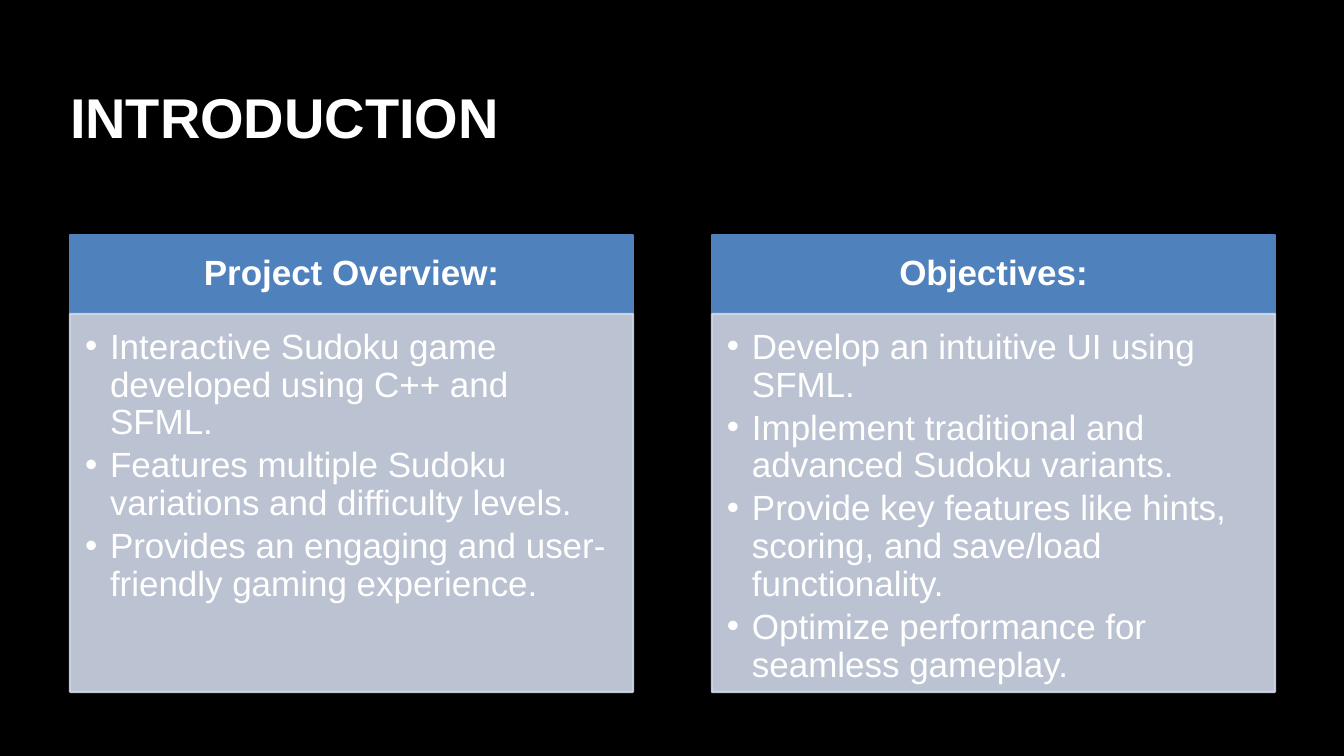
from lxml.etree import SubElement as Sub
from pptx import Presentation
from pptx.dml.color import RGBColor as Rgb
from pptx.enum.shapes import MSO_SHAPE as Kind
from pptx.enum.text import MSO_ANCHOR as Anchor, PP_ALIGN as Align
from pptx.oxml.ns import qn
from pptx.util import Emu, Pt

INK = {"back": "000000", "text": "FFFFFF", "head": "4F81BD", "body": "D0D8E8"}
WIDE, HIGH = 1344, 756
LEFT, TOP, STEP = 70, 235, 642
CARD, HEAD, BODY = 563, 79, 378
DENT = 25

CARDS = [
    ("Project Overview:", [
        "Interactive Sudoku game developed using C++ and SFML.",
        "Features multiple Sudoku variations and difficulty levels.",
        "Provides an engaging and user-friendly gaming experience.",
    ]),
    ("Objectives:", [
        "Develop an intuitive UI using SFML.",
        "Implement traditional and advanced Sudoku variants.",
        "Provide key features like hints, scoring, and save/load functionality.",
        "Optimize performance for seamless gameplay.",
    ]),
]


def px(num):
    return Emu(round(num * 914400 / 100.8))


def tone(fill, name, alpha=100):
    fill.solid()
    fill.fore_color.rgb = Rgb.from_string(INK[name])
    if alpha < 100:
        for node in fill._xPr.iter(qn("a:srgbClr")):
            Sub(node, qn("a:alpha"), val=str(alpha * 1000))


def frame(shape, pads, anchor):
    text = shape.text_frame
    text.word_wrap = True
    text.vertical_anchor = anchor
    text.margin_left, text.margin_top, text.margin_right, text.margin_bottom = map(px, pads)
    return text


def write(para, words, size, bold=False):
    run = para.add_run()
    run.text = words
    run.font.name = "Arial"
    run.font.size = Pt(size)
    run.font.bold = bold
    run.font.color.rgb = Rgb.from_string(INK["text"])


def bullet(para):
    props = para._p.get_or_add_pPr()
    props.set("marL", str(px(DENT)))
    props.set("indent", str(-px(DENT)))
    Sub(props, qn("a:buFont"), typeface="Arial")
    Sub(props, qn("a:buChar"), char="•")


def panel(slide, left, top, high, name, alpha=100):
    shape = slide.shapes.add_shape(Kind.RECTANGLE, px(left), px(top), px(CARD), px(high))
    shape.shadow.inherit = False
    tone(shape.fill, name, alpha)
    shape.line.width = Pt(1.5)
    tone(shape.line.fill, name, alpha)
    return shape


def title(slide, words):
    box = slide.shapes.add_textbox(px(60), px(100), px(1107), px(97))
    box.top = px(68)
    text = frame(box, (10, 5, 10, 5), Anchor.MIDDLE)
    write(text.paragraphs[0], words, 40, True)


def card(slide, left, head, items):
    top = panel(slide, left, TOP, HEAD, "head")
    para = frame(top, (19, 11, 19, 11), Anchor.MIDDLE).paragraphs[0]
    para.alignment = Align.CENTER
    para.line_spacing = 0.9
    write(para, head, 25, True)

    base = panel(slide, left, TOP + HEAD, BODY, "body", 90)
    text = frame(base, (15, 15, 19, 22), Anchor.TOP)
    for num, item in enumerate(items):
        para = text.add_paragraph() if num else text.paragraphs[0]
        para.alignment = Align.LEFT
        para.line_spacing = 0.9
        para.space_after = Pt(3.75)
        bullet(para)
        write(para, item, 25)


def main():
    deck = Presentation()
    deck.slide_width, deck.slide_height = px(WIDE), px(HIGH)
    slide = deck.slides.add_slide(deck.slide_layouts[6])
    tone(slide.background.fill, "back")
    title(slide, "INTRODUCTION")
    for num, (head, items) in enumerate(CARDS):
        card(slide, LEFT + num * STEP, head, items)
    deck.save("out.pptx")


if __name__ == "__main__":
    main()
